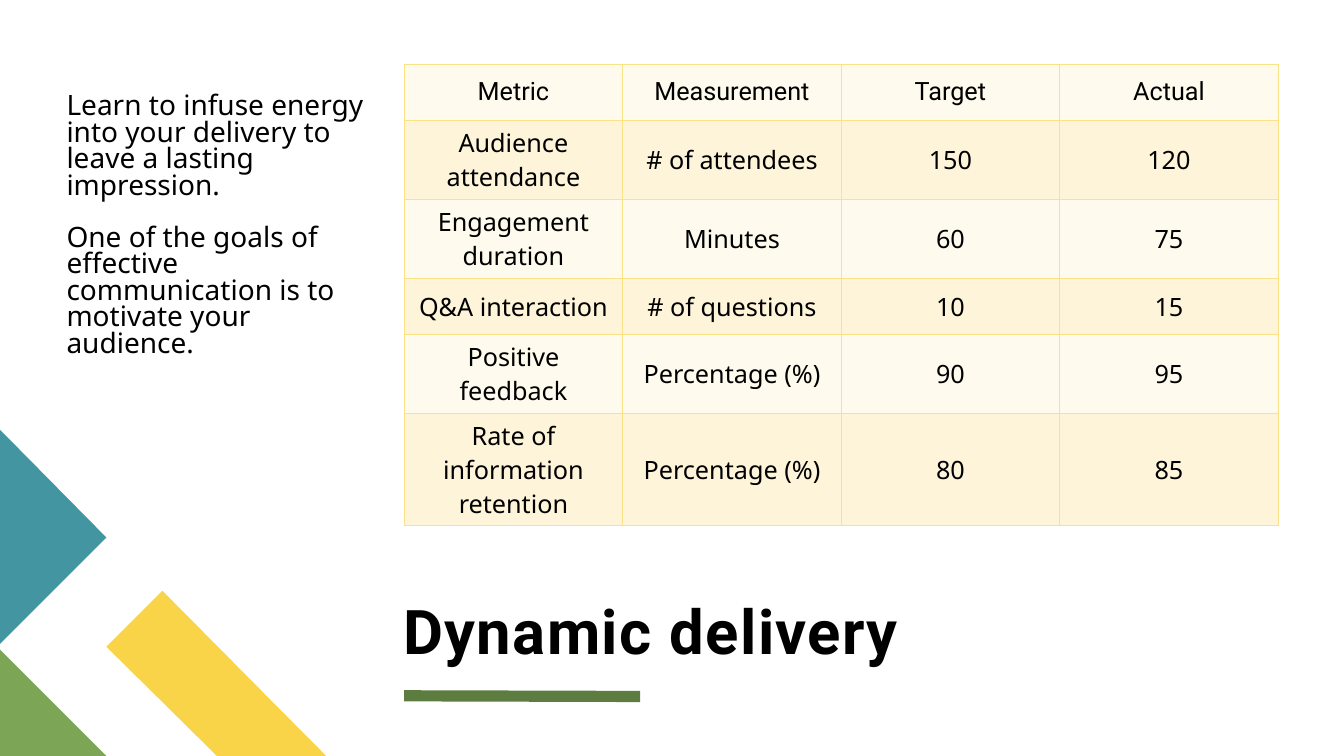
from lxml.etree import SubElement as Sub
from pptx import Presentation as Deck
from pptx.dml.color import RGBColor as Color
from pptx.enum.shapes import MSO_CONNECTOR as Link
from pptx.enum.text import MSO_ANCHOR as Anchor, PP_ALIGN as Align
from pptx.oxml.ns import qn
from pptx.util import Pt

BLACK = Color(0x00, 0x00, 0x00)
YELLOW = Color(0xF9, 0xD4, 0x48)
GREEN = Color(0x7C, 0xA6, 0x55)
TEAL = Color(0x44, 0x95, 0xA2)
MOSS = Color(0x5D, 0x7D, 0x40)
GOLD = Color(0xFB, 0xE2, 0x84)
BANDS = Color(0xFE, 0xFA, 0xED), Color(0xFD, 0xF4, 0xD9)

HEAD = "Roboto"
BODY = "Noto Sans"

ROWS = [
    ("Metric", "Measurement", "Target", "Actual"),
    ("Audience attendance", "# of attendees", "150", "120"),
    ("Engagement duration", "Minutes", "60", "75"),
    ("Q&A interaction", "# of questions", "10", "15"),
    ("Positive feedback", "Percentage (%)", "90", "95"),
    ("Rate of information retention", "Percentage (%)", "80", "85"),
]
HEIGHTS = [40, 56.4, 56.4, 40, 56.4, 80.2]


class Page:
    def __init__(self, deck):
        self.slide = deck.slides.add_slide(deck.slide_layouts[6])
        self.shapes = self.slide.shapes

    def style(self, para, face, size, bold=False):
        font = para.font
        font.name = face
        font.size = Pt(size)
        font.bold = bold
        font.color.rgb = BLACK

    def outline(self, points, color):
        form = self.shapes.build_freeform(*points[0], scale=Pt(1))
        form.add_line_segments(points[1:], close=True)
        shape = form.convert_to_shape()
        shape.shadow.inherit = False
        shape.fill.solid()
        shape.fill.fore_color.rgb = color
        shape.line.fill.background()

    def rule(self, start, end, color, width):
        line = self.shapes.add_connector(Link.STRAIGHT, *map(Pt, start + end))
        line.line.color.rgb = color
        line.line.width = Pt(width)
        Sub(line._element.spPr, qn("a:effectLst"))

    def text(self, box, lines, face, size, top=0, right=0, anchor=Anchor.TOP,
             bold=False, lead=1.0, gap=0, track=0):
        frame = self.shapes.add_textbox(*map(Pt, box)).text_frame
        frame.word_wrap = True
        frame.vertical_anchor = anchor
        frame.margin_left = frame.margin_bottom = 0
        frame.margin_top, frame.margin_right = Pt(top), Pt(right)
        frame.text = "\n".join(lines)
        for para in frame.paragraphs:
            self.style(para, face, size, bold)
            para.line_spacing = lead
            para.space_after = Pt(gap)
            if track:
                for run in para.runs:
                    run._r.get_or_add_rPr().set("spc", str(track * 100))

    def border(self, cell, color, width):
        props = cell._tc.get_or_add_tcPr()
        for at, side in enumerate(("lnL", "lnR", "lnT", "lnB")):
            edge = props.makeelement(qn(f"a:{side}"), {"w": str(Pt(width))})
            fill = Sub(edge, qn("a:solidFill"))
            Sub(fill, qn("a:srgbClr"), val=str(color))
            props.insert(at, edge)

    def table(self, left, top, width, heights, rows):
        count = len(rows[0])
        frame = self.shapes.add_table(
            len(rows), count, Pt(left), Pt(top), Pt(width), Pt(sum(heights)))
        grid = frame.table
        grid.first_row = grid.horz_banding = False
        for col in grid.columns:
            col.width = Pt(width / count)
        for i, (row, height) in enumerate(zip(rows, heights)):
            grid.rows[i].height = Pt(height)
            for j, word in enumerate(row):
                cell = grid.cell(i, j)
                cell.text = word
                cell.vertical_anchor = Anchor.MIDDLE
                cell.fill.solid()
                cell.fill.fore_color.rgb = BANDS[i % 2]
                self.border(cell, GOLD, 1)
                para = cell.text_frame.paragraphs[0]
                para.alignment = Align.CENTER
                self.style(para, BODY if i else HEAD, 18)


def main():
    deck = Deck()
    deck.slide_width, deck.slide_height = Pt(960), Pt(540)
    page = Page(deck)
    page.outline(
        [(233, 540), (155, 540), (76.5, 461.5), (116, 422.5)], YELLOW)
    page.outline([(76.5, 540), (0, 540), (0, 464)], GREEN)
    page.outline([(0, 307.2), (76.5, 383.7), (0, 460.2)], TEAL)
    page.rule((288.7, 497), (457.2, 497.5), MOSS, 8)
    page.text((288, 367, 625, 109), ["Dynamic delivery"], HEAD, 44,
              anchor=Anchor.BOTTOM, bold=True, lead=0.8, track=1)
    page.text((47.5, 46, 222.5, 314.6), [
        "Learn to infuse energy into your delivery to leave a lasting "
        "impression.",
        "One of the goals of effective communication is to motivate your "
        "audience.",
    ], BODY, 20, top=21.6, right=7.2, lead=0.79, gap=18)
    page.table(288.7, 46, 624.4, HEIGHTS, ROWS)
    deck.save("out.pptx")


if __name__ == "__main__":
    main()
